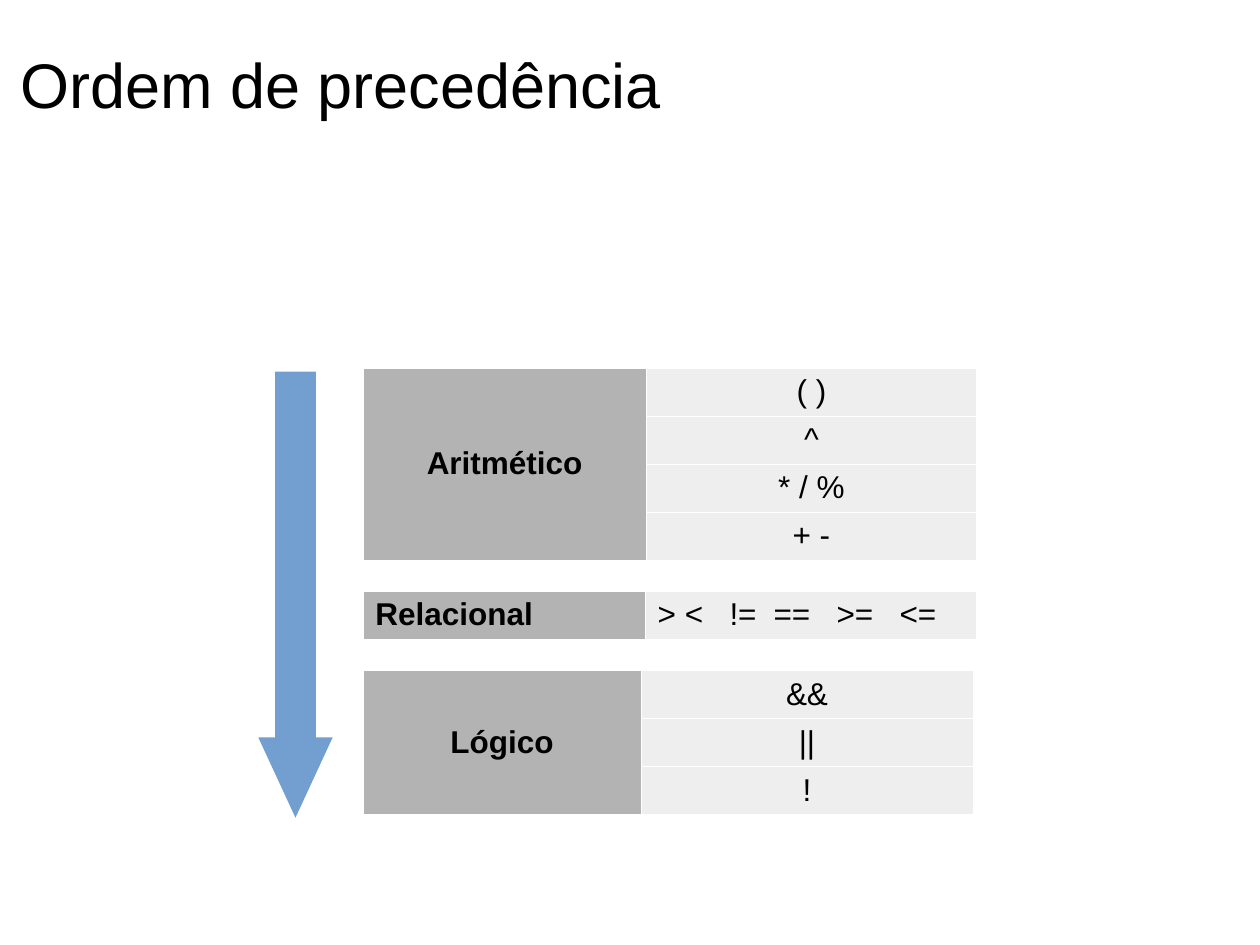
import pptx
import pptx.dml.color
import pptx.enum.shapes
import pptx.enum.text
import pptx.oxml
import pptx.oxml.ns
import pptx.util
from pptx.util import Inches

ALIGN = pptx.enum.text.PP_ALIGN
ANCHOR = pptx.enum.text.MSO_ANCHOR

COLORS = {
    "text": "000000",
    "category": "B3B3B3",
    "operator": "EEEEEE",
    "border": "FFFFFF",
    "arrow": "729FCF",
}
FONT = "Arial"
TITLE = "Ordem de precedência"
TABLE_LEFT = 2.88
ROW_HEIGHT = 0.38
BORDER_WIDTH = 0.06
GROUPS = [
    {"name": "Aritmético", "operators": ["( )", "^", "* / %", "+ -"],
     "top": 2.92, "widths": (2.25, 2.62), "align": ALIGN.CENTER, "tabs": ()},
    {"name": "Relacional", "operators": ["> <\t!=\t==\t>=\t<="],
     "top": 4.69, "widths": (2.24, 2.63), "align": ALIGN.LEFT,
     "tabs": (0.57, 0.92, 1.42, 1.92)},
    {"name": "Lógico", "operators": ["&&", "||", "!"],
     "top": 5.32, "widths": (2.21, 2.63), "align": ALIGN.CENTER, "tabs": ()},
]


def rgb(name):
    return pptx.dml.color.RGBColor.from_string(COLORS[name])


def write_text(frame, text, size=18, bold=False, align=ALIGN.LEFT, tabs=()):
    paragraph = frame.paragraphs[0]
    paragraph.alignment = align
    if tabs:
        properties = paragraph._p.get_or_add_pPr()
        tab_list = pptx.oxml.parse_xml(
            f'<a:tabLst {pptx.oxml.ns.nsdecls("a")}>'
            + "".join(f'<a:tab pos="{Inches(tab)}" algn="l"/>' for tab in tabs)
            + "</a:tabLst>")
        properties.append(tab_list)
    run = paragraph.add_run()
    run.text = text
    run.font.name = FONT
    run.font.size = pptx.util.Pt(size)
    run.font.bold = bold
    run.font.color.rgb = rgb("text")


def format_cell(cell, fill):
    cell.fill.solid()
    cell.fill.fore_color.rgb = rgb(fill)
    properties = cell._tc.get_or_add_tcPr()
    for index, side in enumerate(("lnL", "lnR", "lnT", "lnB")):
        properties.insert(index, pptx.oxml.parse_xml(
            f'<a:{side} {pptx.oxml.ns.nsdecls("a")} w="{pptx.util.Pt(BORDER_WIDTH)}">'
            f'<a:solidFill><a:srgbClr val="{COLORS["border"]}"/></a:solidFill>'
            f"</a:{side}>"))


def add_group(slide, name, operators, top, widths, align, tabs):
    count = len(operators)
    table = slide.shapes.add_table(
        count, 2, Inches(TABLE_LEFT), Inches(top),
        Inches(sum(widths)), Inches(ROW_HEIGHT * count)).table
    table.first_row = False
    table.horz_banding = False
    for column, width in zip(table.columns, widths):
        column.width = Inches(width)
    for row, operator in enumerate(operators):
        table.rows[row].height = Inches(ROW_HEIGHT)
        format_cell(table.cell(row, 0), "category")
        format_cell(table.cell(row, 1), "operator")
        write_text(table.cell(row, 1).text_frame, operator, align=align, tabs=tabs)
    category = table.cell(0, 0)
    if count > 1:
        category.merge(table.cell(count - 1, 0))
        category.vertical_anchor = ANCHOR.MIDDLE
    write_text(category.text_frame, name, bold=True, align=align)


def main():
    presentation = pptx.Presentation()
    presentation.slide_width = Inches(10)
    presentation.slide_height = Inches(7.5)
    slide = presentation.slides.add_slide(presentation.slide_layouts[5])

    title = slide.shapes.title
    title.left, title.top = Inches(0.16), Inches(0.13)
    title.width, title.height = Inches(9.76), Inches(1.06)
    frame = title.text_frame
    frame.margin_left = frame.margin_right = frame.margin_top = frame.margin_bottom = 0
    frame.vertical_anchor = ANCHOR.MIDDLE
    frame.word_wrap = True
    frame.auto_size = pptx.enum.text.MSO_AUTO_SIZE.NONE
    write_text(frame, TITLE, size=36)

    for group in GROUPS:
        add_group(slide, **group)

    arrow = slide.shapes.add_shape(
        pptx.enum.shapes.MSO_SHAPE.DOWN_ARROW,
        Inches(2.05), Inches(2.95), Inches(0.59), Inches(3.54))
    arrow.adjustments[0] = 0.55
    arrow.adjustments[1] = 1.08
    arrow.shadow.inherit = False
    arrow.fill.solid()
    arrow.fill.fore_color.rgb = rgb("arrow")
    arrow.line.fill.background()

    presentation.save("out.pptx")


if __name__ == "__main__":
    main()
